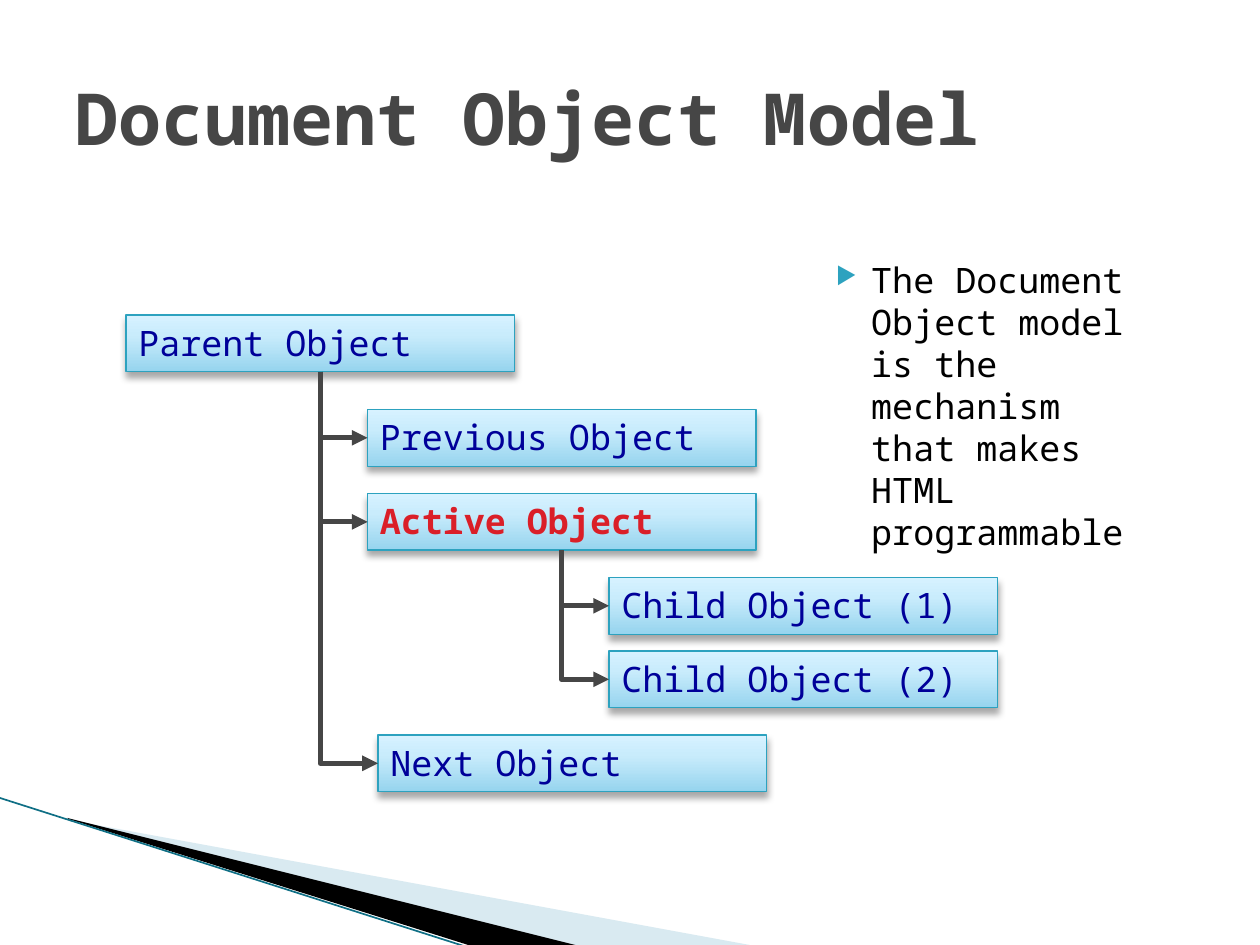
from dataclasses import dataclass
from lxml import etree
from pptx import Presentation
from pptx.dml.color import RGBColor as Rgb
from pptx.enum.shapes import MSO_CONNECTOR as Link, MSO_SHAPE as Kind
from pptx.enum.text import MSO_ANCHOR as Anchor, MSO_AUTO_SIZE as Fit, PP_ALIGN as Align
from pptx.oxml import parse_xml
from pptx.util import Inches, Pt

NS = "http://schemas.openxmlformats.org/drawingml/2006/main"
COLS, ROWS = 120, 90
WIDE, TALL = 37, 5.4


@dataclass
class Theme:
    font: str = "Noto Sans Mono"
    dark: str = "464646"
    ink: str = "000000"
    navy: str = "000099"
    red: str = "DA1F28"
    teal: str = "2DA2BF"
    pale: str = "A0CBDC"
    edge: str = "0F6F85"
    grad: tuple = ((0, "96D4EE"), (65, "C9ECFC"), (100, "D7F2FF"))
    big: int = 41
    base: int = 20


def node(text):
    return parse_xml(f'<a:root xmlns:a="{NS}">{text}</a:root>')[0]


class Page:
    def __init__(self, deck, theme):
        self.theme = theme
        self.slide = deck.slides.add_slide(deck.slide_layouts[6])
        self.shapes = self.slide.shapes
        self.col = deck.slide_width / COLS
        self.row = deck.slide_height / ROWS

    def spot(self, x, y):
        return round(x * self.col), round(y * self.row)

    def label(self, shape, text, size, color, bold=False, anchor=Anchor.TOP):
        frame = shape.text_frame
        frame.word_wrap = True
        frame.vertical_anchor = anchor
        para = frame.paragraphs[0]
        para.text = text
        para.alignment = Align.LEFT
        font = para.font
        font.name, font.size, font.bold = self.theme.font, Pt(size), bold
        font.color.rgb = Rgb.from_string(color)
        return para

    def text(self, x, y, wide, tall, *args, **style):
        shape = self.shapes.add_textbox(*self.spot(x, y), *self.spot(wide, tall))
        return self.label(shape, *args, **style)

    def bullet(self, para, mark):
        para.space_before = Pt(4)
        props = para._p.get_or_add_pPr()
        props.set("marL", str(Inches(0.4)))
        props.set("indent", str(Inches(-0.28)))
        for item in (f'<a:buClr><a:srgbClr val="{self.theme.teal}"/></a:buClr>',
                     '<a:buSzPct val="68000"/>', f'<a:buChar char="{mark}"/>'):
            props.insert_element_before(node(item), "a:tabLst", "a:defRPr", "a:extLst")

    def box(self, x, y, text, hot=False):
        look = self.theme
        shape = self.shapes.add_shape(Kind.RECTANGLE, *self.spot(x, y), *self.spot(WIDE, TALL))
        shape.line.color.rgb = Rgb.from_string(look.teal)
        shape.line.width = Pt(0.75)
        stops = "".join(f'<a:gs pos="{pos * 1000}"><a:srgbClr val="{tint}"/></a:gs>'
                        for pos, tint in look.grad)
        props = shape._element.spPr
        props.insert_element_before(
            node(f'<a:gradFill><a:gsLst>{stops}</a:gsLst><a:lin ang="16200000"/></a:gradFill>'), "a:ln")
        props.append(node(
            f'<a:effectLst><a:outerShdw blurRad="{Pt(4)}" dist="{Pt(3)}" dir="5400000">'
            f'<a:srgbClr val="{look.ink}"><a:alpha val="35000"/></a:srgbClr>'
            '</a:outerShdw></a:effectLst>'))
        self.label(shape, text, look.base, look.red if hot else look.navy, hot)
        shape.text_frame.auto_size = Fit.SHAPE_TO_FIT_TEXT
        return shape

    def line(self, kind, start, end, color, width):
        link = self.shapes.add_connector(kind, *start, *end)
        link.line.color.rgb = Rgb.from_string(color)
        link.line.width = Pt(width)
        etree.SubElement(link._element.spPr, f"{{{NS}}}effectLst")
        return link

    def branch(self, head, leaf):
        left, top = head.left + head.width // 2, head.top + head.height
        run, drop = leaf.left - left, leaf.top + leaf.height // 2 - top
        mid_x, mid_y = left + run // 2, top + drop // 2
        link = self.line(Link.ELBOW, (mid_x + drop // 2, mid_y - run // 2),
                         (mid_x - drop // 2, mid_y + run // 2), self.theme.dark, 3)
        props = link._element.spPr
        props.xfrm.set("rot", "16200000")
        props.prstGeom.set("prst", "bentConnector2")
        link.line._get_or_add_ln().append(node('<a:tailEnd type="triangle"/>'))
        link._connect_begin_to(head, 2)
        link._connect_end_to(leaf, 1)

    def wedge(self, points, color, alpha=100):
        first, *rest = [self.spot(*point) for point in points]
        shape_line = self.shapes.build_freeform(*first)
        shape_line.add_line_segments(rest)
        shape = shape_line.convert_to_shape()
        shape.shadow.inherit = False
        shape.line.fill.background()
        shape.fill.solid()
        shape.fill.fore_color.rgb = Rgb.from_string(color)
        tint = shape._element.spPr.find(f".//{{{NS}}}srgbClr")
        etree.SubElement(tint, f"{{{NS}}}alpha", val=str(alpha * 1000))


def main():
    deck = Presentation()
    deck.slide_width, deck.slide_height = Inches(10), Inches(7.5)
    look = Theme()
    page = Page(deck, look)

    page.wedge([(6.6, 78.1), (71.4, 90), (54.7, 90), (6.6, 78)], look.pale, 40)
    page.wedge([(6.4, 77.9), (54.8, 90), (44.6, 90), (6.5, 78)], look.ink)
    page.line(Link.STRAIGHT, page.spot(0, 76), page.spot(44.5, 90.2), look.edge, 0.95)

    page.text(6, 3.6, 108, 15, "Document Object Model", look.big, look.dark,
              bold=True, anchor=Anchor.MIDDLE)
    note = page.text(77, 24, 35, 27,
                     "The Document Object model is the mechanism that makes HTML programmable",
                     look.base, look.ink)
    page.bullet(note, "▶")

    root = page.box(12, 30, "Parent Object")
    prior = page.box(35, 39, "Previous Object")
    active = page.box(35, 47, "Active Object", hot=True)
    kids = [page.box(58, 55 + 7 * i, f"Child Object ({i + 1})") for i in range(2)]
    after = page.box(36, 70, "Next Object")

    for head, leaves in ((root, (prior, active, after)), (active, kids)):
        for leaf in leaves:
            page.branch(head, leaf)

    deck.save("out.pptx")


if __name__ == "__main__":
    main()
